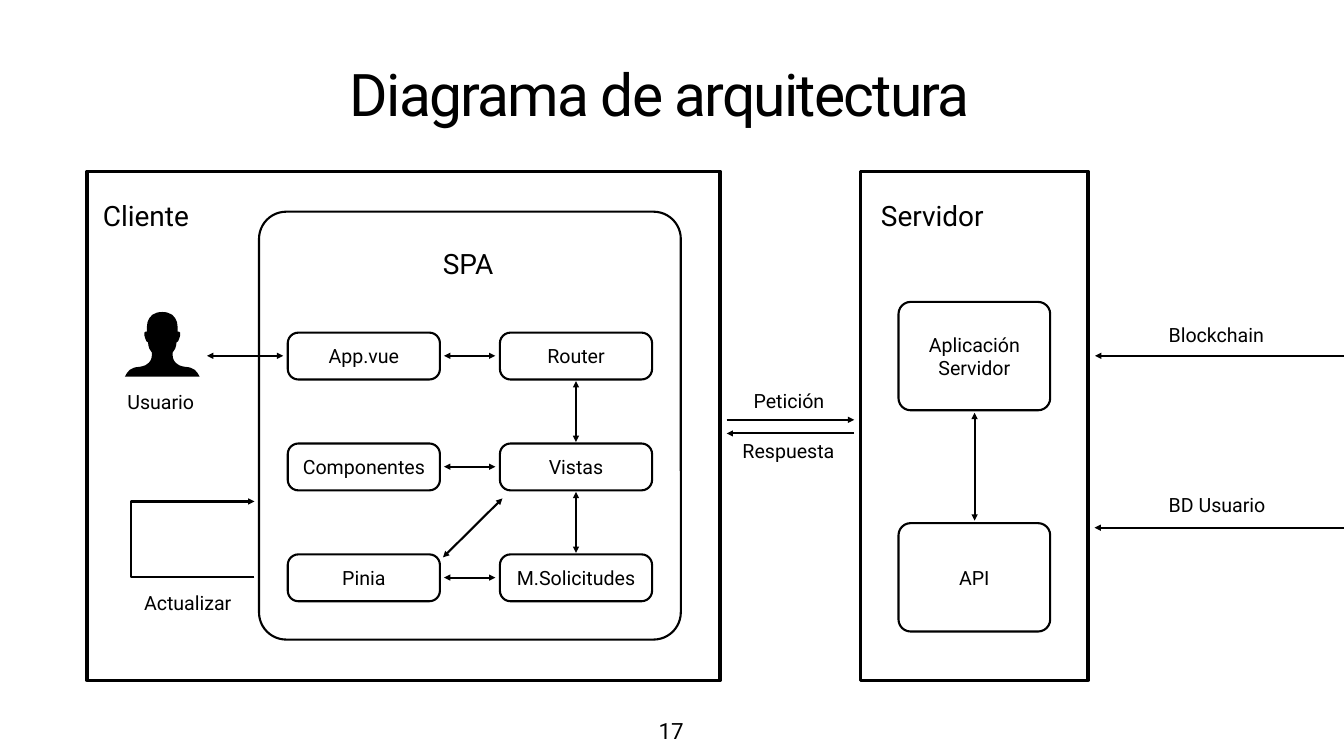
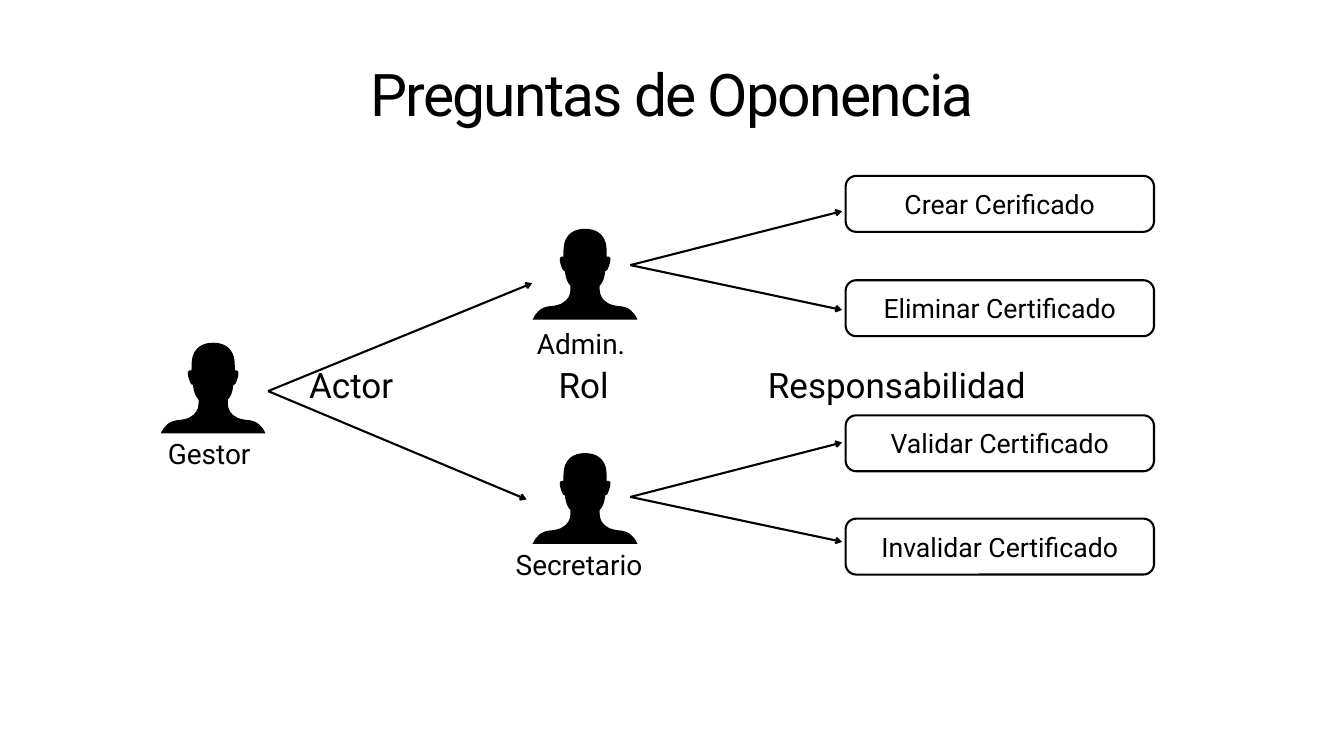
from lxml import etree
from pptx import Presentation
from pptx.dml.color import RGBColor
from pptx.enum.shapes import MSO_CONNECTOR, MSO_SHAPE
from pptx.enum.text import MSO_ANCHOR, MSO_AUTO_SIZE, PP_ALIGN
from pptx.oxml.ns import qn
from pptx.util import Pt

PX = 9144  # 100 px to the inch
SLIDE_W, SLIDE_H = 2667, 1500
COLORS = {"ink": "000000", "paper": "FFFFFF"}
FONT = "Roboto"
INSET = 6
THIN, THICK = 3, 5
LABEL_H = {28: 62, 32: 69, 40: 84, 50: 103}  # label height by text size
TITLE_W, TITLE_H = 2389, 170

RECT, ROUNDED = MSO_SHAPE.RECTANGLE, MSO_SHAPE.ROUNDED_RECTANGLE
STRAIGHT = MSO_CONNECTOR.STRAIGHT
MIDDLE, BOTTOM = MSO_ANCHOR.MIDDLE, MSO_ANCHOR.BOTTOM
CENTER = PP_ALIGN.CENTER
FIT_SHAPE, NO_FIT = MSO_AUTO_SIZE.SHAPE_TO_FIT_TEXT, MSO_AUTO_SIZE.NONE

# Left half of the user silhouette, from the crown down: cubic curves and line ends
USER_W = 208
USER_HALF = [
    [(-23, 0), (-36, 11), (-41, 28)],
    [(-43, 36), (-43, 45), (-43, 55)],
    [(-44, 55), (-45, 55), (-47, 55)],
    [(-54, 55), (-49, 72), (-44, 82)],
    [(-43, 84), (-41, 84), (-40, 84)],
    [(-38, 101), (-35, 106), (-29, 113)],
    [(-29, 121)],
    [(-29, 132), (-35, 142), (-45, 147)],
    [(-46, 148), (-47, 148), (-48, 149)],
    [(-53, 151), (-58, 152), (-64, 153)],
    [(-88, 154), (-97, 165), (-104, 180)],
    [(0, 180)],
]

# Architecture slide
ARCHITECTURE = {
    "title": ("Diagrama de arquitectura", 115, 89),
    "labels": [  # text, left, top, width, size
        ("SPA", 870, 480, 118, 40),
        ("Cliente", 188, 386, 203, 40),
        ("Servidor", 1730, 386, 240, 40),
        ("Usuario", 244, 765, 150, 28),
        ("Actualizar", 276, 1165, 193, 28),
        ("Petición", 1486, 764, 159, 28),
        ("Respuesta", 1464, 863, 201, 28),
        ("Blockchain", 2308, 633, 211, 28),
        ("BD Usuario", 2309, 971, 212, 28),
    ],
    "modules": [  # rows of the SPA grid
        ("App.vue", "Router"),
        ("Componentes", "Vistas"),
        ("Pinia", "M.Solicitudes"),
    ],
    "server": [("Aplicación\nServidor", 599), ("API", 1038)],
    "both_ways": [
        (997, 989, 879, 1106),
        (562, 706, 411, 706),
        (1934, 1033, 1934, 819),
    ],
    "one_way": [
        (1442, 833, 1695, 833),
        (1695, 860, 1442, 860),
        (SLIDE_W, 706, 2173, 706),
        (SLIDE_W, 1047, 2172, 1047),
    ],
    "update": [(505, 1145), (260, 1145), (260, 995), (505, 995)],
    "number": "17",
}
MODULE_X, MODULE_Y, MODULE_W, MODULE_H = 571, 660, 302, 93
MODULE_DX, MODULE_DY = 421, 220

# Questions slide
QUESTIONS = {
    "title": ("Preguntas de Oponencia", 139, 89),
    "labels": [
        ("Actor", 599, 712, 196, 50),
        ("Rol", 1099, 712, 118, 50),
        ("Responsabilidad", 1500, 712, 560, 50),
        ("Gestor", 319, 858, 192, 40),
        ("Admin.", 1052, 639, 202, 40),
        ("Secretario", 1005, 1077, 288, 40),
    ],
    "people": [(319, 680), (1057, 454), (1057, 899)],
    "duties": [
        ("Crear Cerificado", 349),
        ("Eliminar Certificado", 556),
        ("Validar Certificado", 824),
        ("Invalidar Certificado", 1029),
    ],
    "arrows": [  # start, then the ends it fans out to
        ((532, 776), [(1056, 562), (1045, 991)]),
        ((1251, 526), [(1671, 419), (1671, 615)]),
        ((1251, 986), [(1671, 878), (1671, 1075)]),
    ],
}


def px(*values):
    return [round(v * PX) for v in values]


def color(name):
    return RGBColor.from_string(COLORS[name])


def write(tf, text, size, anchor=MIDDLE, spacing=None, tracking=None):
    """Fill a text frame with centred paragraphs, one per line."""
    tf.margin_left = tf.margin_right = tf.margin_top = tf.margin_bottom = INSET * PX
    tf.vertical_anchor = anchor
    for i, line in enumerate(text.split("\n")):
        p = tf.add_paragraph() if i else tf.paragraphs[0]
        p.alignment = CENTER
        if spacing:
            p.line_spacing = spacing
        r = p.add_run()
        r.text = line
        r.font.size, r.font.name = Pt(size), FONT
        r.font.color.rgb = color("ink")
        if tracking:
            r.font._element.set("spc", str(tracking))


def add_title(s, text, x, y):
    sp = s.shapes.title
    sp.left, sp.top, sp.width, sp.height = px(x, y, TITLE_W, TITLE_H)
    tf = sp.text_frame
    tf.word_wrap, tf.auto_size = True, NO_FIT
    write(tf, text, 84, BOTTOM, 0.8, -252)


def add_label(s, text, x, y, w, size, anchor=MIDDLE):
    tf = s.shapes.add_textbox(*px(x, y, w, LABEL_H[size])).text_frame
    tf.word_wrap, tf.auto_size = False, FIT_SHAPE
    write(tf, text, size, anchor)


def stroke(sp, width=THIN, head=None, tail=None):
    sp.line.color.rgb = color("ink")
    sp.line.width = Pt(width)
    ln = sp.line._get_or_add_ln()
    for tag, kind in (("a:headEnd", head), ("a:tailEnd", tail)):
        if kind:
            etree.SubElement(ln, qn(tag), type=kind)


def add_box(s, x, y, w, h, radius=0, text="", size=28, width=THIN):
    sp = s.shapes.add_shape(ROUNDED if radius else RECT, *px(x, y, w, h))
    sp.shadow.inherit = False
    sp.fill.background()
    stroke(sp, width)
    if radius:
        sp.adjustments[0] = radius / min(w, h)
    if text:
        sp.text_frame.word_wrap = True
        write(sp.text_frame, text, size)


def add_arrow(s, x1, y1, x2, y2, head=None, tail="triangle"):
    c = s.shapes.add_connector(STRAIGHT, *px(x1, y1, x2, y2))
    stroke(c, THIN, head, tail)
    etree.SubElement(c._element.spPr, qn("a:effectLst"))


def add_outline(s, points, close):
    start, *rest = [px(*point) for point in points]
    builder = s.shapes.build_freeform(*start)
    builder.add_line_segments(rest, close=close)
    sp = builder.convert_to_shape()
    sp.shadow.inherit = False
    return sp


def user_segments():
    """The half silhouette followed by its mirror image, back to the crown."""
    starts = [(0, 0)] + [segment[-1] for segment in USER_HALF[:-1]]
    mirrored = [[(-x, y) for x, y in [*reversed(segment[:-1]), start]]
                for start, segment in zip(starts, USER_HALF)]
    return USER_HALF + mirrored[::-1]


def add_user(s, x, y, w=USER_W):
    scale = w / USER_W
    segments = [[(x + w / 2 + u * scale, y + v * scale) for u, v in segment]
                for segment in user_segments()]
    sp = add_outline(s, [segments[-1][-1]] + [seg[-1] for seg in segments], True)
    # Bend the straight segments that have control points
    lines = list(sp._element.iter(qn("a:lnTo")))
    for line, segment in zip(lines, segments):
        if len(segment) == 1:
            continue
        curve = etree.Element(qn("a:cubicBezTo"))
        for point in segment:
            cx, cy = px(*point)
            etree.SubElement(curve, qn("a:pt"), x=str(cx - sp.left), y=str(cy - sp.top))
        line.getparent().replace(line, curve)
    sp.fill.solid()
    sp.fill.fore_color.rgb = color("ink")
    sp.line.fill.background()


def new_slide(prs, content):
    s = prs.slides.add_slide(prs.slide_layouts[5])
    s.background.fill.solid()
    s.background.fill.fore_color.rgb = color("paper")
    add_title(s, *content["title"])
    for label in content["labels"]:
        add_label(s, *label)
    return s


def build_architecture(prs):
    data = ARCHITECTURE
    s = new_slide(prs, data)
    add_label(s, data["number"], 1297, 1413, 70, 32, BOTTOM)

    # Client, SPA and server frames
    add_box(s, 173, 340, 1256, 1010, width=THICK)
    add_box(s, 514, 420, 837, 849, 54)
    add_box(s, 1708, 340, 451, 1010, width=THICK)

    # SPA modules, with arrows across rows and down the right column
    right = MODULE_X + MODULE_DX
    for row, names in enumerate(data["modules"]):
        y = MODULE_Y + row * MODULE_DY
        for col, name in enumerate(names):
            add_box(s, MODULE_X + col * MODULE_DX, y, MODULE_W, MODULE_H, 21, name)
        mid = y + MODULE_H // 2
        add_arrow(s, right - 9, mid, MODULE_X + MODULE_W + 8, mid, "triangle")
        if row:
            x = right + MODULE_W // 2
            add_arrow(s, x, y - 3, x, y - MODULE_DY + MODULE_H + 3, "triangle")

    # Server parts
    for name, y in data["server"]:
        add_box(s, 1783, y, 301, 215, 24, name)

    # User, update loop and remaining arrows
    add_user(s, 248, 619, 148)
    loop = add_outline(s, data["update"], False)
    loop.fill.background()
    stroke(loop, tail="triangle")
    for ends in data["both_ways"]:
        add_arrow(s, *ends, head="triangle")
    for ends in data["one_way"]:
        add_arrow(s, *ends)


def build_questions(prs):
    data = QUESTIONS
    s = new_slide(prs, data)
    for x, y in data["people"]:
        add_user(s, x, y)
    for name, y in data["duties"]:
        add_box(s, 1678, y, 612, 111, 21, name, 38)
    for start, ends in data["arrows"]:
        for end in ends:
            add_arrow(s, *start, *end, tail="arrow")


def main():
    prs = Presentation()
    prs.slide_width, prs.slide_height = px(SLIDE_W, SLIDE_H)
    build_architecture(prs)
    build_questions(prs)
    prs.save("out.pptx")


if __name__ == "__main__":
    main()
